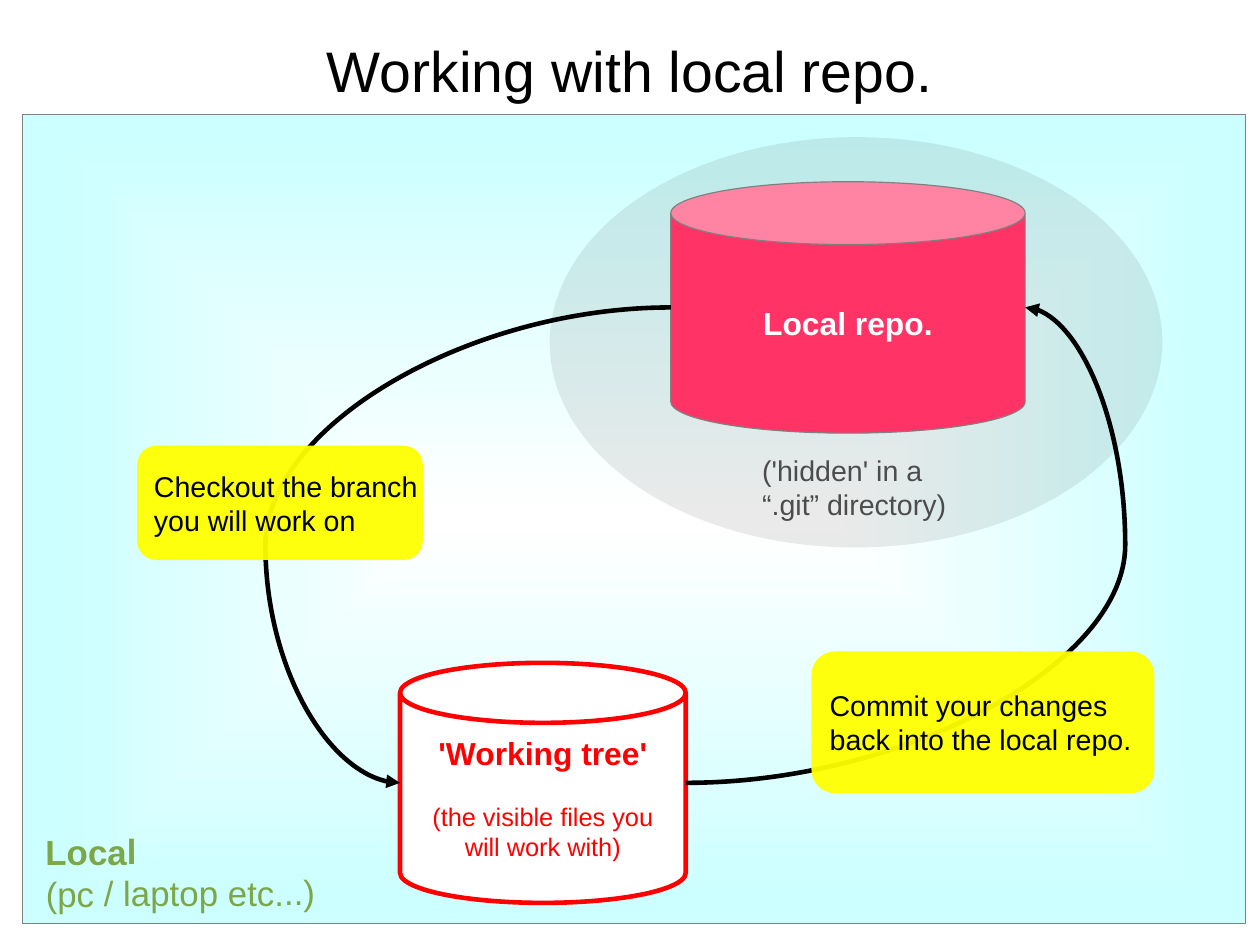
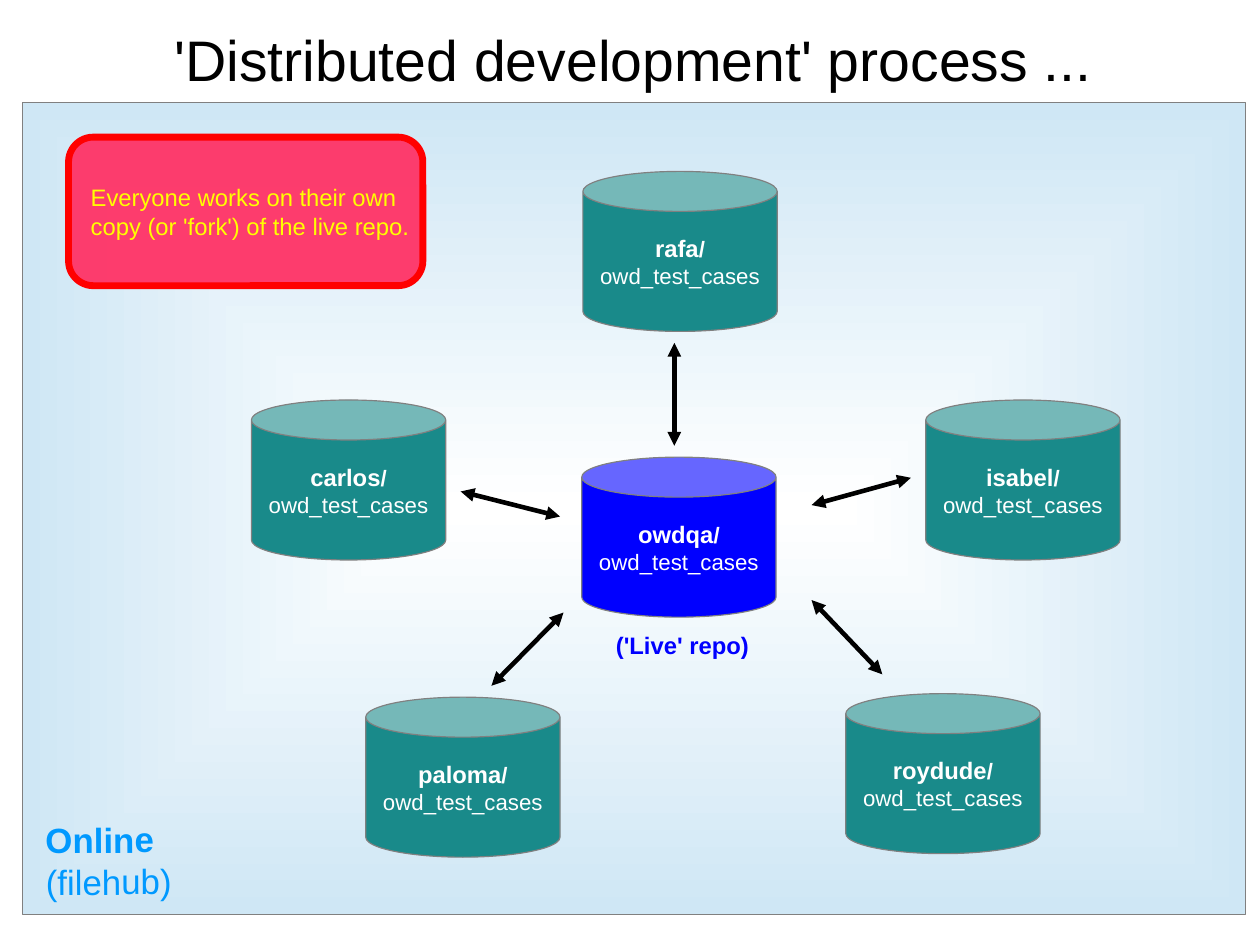
from lxml.etree import SubElement
from pptx import Presentation
from pptx.dml.color import RGBColor
from pptx.enum.shapes import MSO_CONNECTOR, MSO_SHAPE
from pptx.enum.text import MSO_ANCHOR, MSO_AUTO_SIZE, PP_ALIGN
from pptx.oxml.ns import qn
from pptx.util import Pt

WHITE = RGBColor(0xFF, 0xFF, 0xFF)
BLACK = RGBColor(0, 0, 0)
GREY = RGBColor(0x80, 0x80, 0x80)
DARK = RGBColor(0x33, 0x33, 0x33)
SOFT = RGBColor(0x4C, 0x4C, 0x4C)
CYAN = RGBColor(0xCC, 0xFF, 0xFF)
PALE = RGBColor(0xCF, 0xE7, 0xF5)
GREEN = RGBColor(0x7D, 0xA6, 0x47)
SKY = RGBColor(0, 0x99, 0xFF)
PINK = RGBColor(0xFF, 0x33, 0x66)
RED = RGBColor(0xFF, 0, 0)
YELLOW = RGBColor(0xFF, 0xFF, 0)
TEAL = RGBColor(0x19, 0x8A, 0x8A)
BLUE = RGBColor(0, 0, 0xFF)

FONT = "Arial"
STROKE = 2.89
INSET = (7.2, 3.6)
CAN_W, CAN_H = 122.4, 100.8
LEFT, CENTER = PP_ALIGN.LEFT, PP_ALIGN.CENTER


def shift(box, x, y, *size):
    """Turn a place inside box into a place on the slide."""
    return (box[0] + x, box[1] + y, *size)


def write(shape, lines, color, align=LEFT, inset=INSET, wrap=False, gaps=None):
    """Fill shape with lines; a line is a list of (text, size, bold) runs."""
    frame = shape.text_frame
    frame.word_wrap = wrap
    frame.margin_left = frame.margin_right = Pt(inset[0])
    frame.margin_top = frame.margin_bottom = Pt(inset[1])
    for i, line in enumerate(lines):
        para = frame.paragraphs[0] if i == 0 else frame.add_paragraph()
        para.alignment = align
        if gaps and i in gaps:
            para.space_before = Pt(gaps[i])
        for text, size, bold in line:
            run = para.add_run()
            run.text = text
            run.font.name = FONT
            run.font.size = Pt(size)
            run.font.bold = bold
            run.font.color.rgb = color
    return frame


def plain(size, *texts):
    return [[(text, size, False)] for text in texts]


def draw(slide, kind, box, fill, line=None, width=0, alpha=None):
    shape = slide.shapes.add_shape(kind, *map(Pt, box))
    shape.shadow.inherit = False
    shape.fill.solid()
    shape.fill.fore_color.rgb = fill
    if alpha is not None:
        tint = shape.fill._xPr.find(".//" + qn("a:srgbClr"))
        SubElement(tint, qn("a:alpha"), val=str(alpha * 1000))
    if line is None:
        shape.line.fill.background()
    else:
        shape.line.color.rgb = line
        shape.line.width = Pt(width)
    shape.text_frame.vertical_anchor = MSO_ANCHOR.MIDDLE
    return shape


def label(slide, box, lines, color):
    shape = slide.shapes.add_textbox(*map(Pt, box))
    write(shape, lines, color).auto_size = MSO_AUTO_SIZE.SHAPE_TO_FIT_TEXT
    return shape


def link(slide, start, end, bend=None, both=False):
    """Draw an arrow; bend is the turning point of a curve, in percent."""
    kind = MSO_CONNECTOR.STRAIGHT if bend is None else MSO_CONNECTOR.CURVE
    line = slide.shapes.add_connector(kind, *map(Pt, (*start, *end)))
    line.line.color.rgb = BLACK
    line.line.width = Pt(STROKE)
    props = line._element.spPr
    stroke = props.find(qn("a:ln"))
    for tag in ("a:headEnd", "a:tailEnd") if both else ("a:tailEnd",):
        SubElement(stroke, qn(tag), type="triangle")
    SubElement(props, qn("a:effectLst"))
    if bend is not None:
        guides = props.find(qn("a:prstGeom")).get_or_add_avLst()
        SubElement(guides, qn("a:gd"), name="adj1",
                   fmla=f"val {round(bend * 1000)}")


def title(slide, box, text):
    shape = slide.shapes.add_textbox(*map(Pt, box))
    frame = write(shape, plain(36, text), BLACK, CENTER, (0, 0), True)
    frame.vertical_anchor = MSO_ANCHOR.MIDDLE


def panel(slide, box, edge, stop, name, note, width, color):
    """Draw the backdrop, white in its middle, and its corner label."""
    shape = draw(slide, MSO_SHAPE.RECTANGLE, box, WHITE, GREY)
    shape.fill.gradient()
    stops = shape.fill.gradient_stops
    for mark, tone, place in zip(stops, (WHITE, edge), (0, stop)):
        mark.color.rgb = tone
        mark.position = place
    grad = shape._element.spPr.find(qn("a:gradFill"))
    grad.remove(grad.find(qn("a:lin")))
    burst = SubElement(grad, qn("a:path"), path="rect")
    SubElement(burst, qn("a:fillToRect"),
               {side: "50000" for side in "ltrb"})
    corner = label(slide, shift(box, 7.2, 447, width, 56.2),
                   [[(name, 22, True)], [(note, 22, False)]], color)
    corner.rotation = -0.4


def sticker(slide, box, *texts):
    shape = draw(slide, MSO_SHAPE.ROUNDED_RECTANGLE, box, YELLOW, alpha=95)
    write(shape, plain(18, *texts), BLACK)


def side(box, right=False):
    """Give the middle of the left or right side of box."""
    return box[0] + (box[2] if right else 0), box[1] + box[3] / 2


def local(slide, box):
    title(slide, (39.6, box[1] - 64.8, 714.2, 73.4),
          "Working with local repo.")
    panel(slide, box, CYAN, 0.95, "Local", "(pc / laptop etc...)",
          184.3, GREEN)
    draw(slide, MSO_SHAPE.OVAL, shift(box, 331.9, 14.4, 385.9, 258.5),
         DARK, alpha=10).rotation = -0.2

    repo = shift(box, 408.2, 42.5, 223.2, 158.4)
    shape = draw(slide, MSO_SHAPE.CAN, repo, PINK, GREY)
    write(shape, [[("Local repo.", 20, True)]], WHITE, CENTER)

    tree = shift(box, 237.6, 345.6, 180, 151.2)
    shape = draw(slide, MSO_SHAPE.CAN, tree, WHITE, RED, STROKE)
    words = [[("'Working tree'", 20, True)],
             *plain(16, "(the visible files you", "will work with)")]
    write(shape, words, RED, CENTER, (8.6, 5), gaps={1: 18.4})

    link(slide, side(repo), side(tree), 149.7)
    link(slide, side(tree, True), side(repo, True), 129.5)
    label(slide, shift(box, 458.6, 209.5, 130.3, 63.4),
          plain(18, "('hidden' in a", "“.git” directory)"), SOFT)
    sticker(slide, shift(box, 72, 208.8, 180, 72),
            "Checkout the branch", "you will work on")
    sticker(slide, shift(box, 496.8, 338.4, 216, 89.3),
            "Commit your changes", "back into the local repo.")


def online(slide, box):
    title(slide, (41.8, box[1] - 64.8, 714.2, 73.4),
          "'Distributed development' process ...")
    panel(slide, box, PALE, 1, "Online", "(filehub)", 93.5, SKY)

    forks = [
        ("paloma", 216, 374.4, TEAL),
        ("owdqa", 352.1, 223.2, BLUE),
        ("isabel", 568.8, 187.2, TEAL),
        ("rafa", 352.8, 43.2, TEAL),
        ("carlos", 144, 187.2, TEAL),
        ("roydude", 518.4, 372.2, TEAL),
    ]
    for owner, x, y, color in forks:
        shape = draw(slide, MSO_SHAPE.CAN, shift(box, x, y, CAN_W, CAN_H),
                     color, GREY)
        words = [[(owner, 15, True), ("/", 14, True)],
                 [("owd_test_cases", 14, False)]]
        write(shape, words, WHITE, CENTER)
    label(slide, shift(box, 366.5, 329, 98.6, 23.8),
          [[("('Live' repo)", 15, True)]], BLUE)

    note = draw(slide, MSO_SHAPE.ROUNDED_RECTANGLE,
                shift(box, 28.8, 21.6, 223.2, 93.6), PINK, RED, 4.31, 95)
    write(note, plain(15, "Everyone works on their own",
                      "copy (or 'fork') of the live repo."),
          YELLOW, inset=(9.4, 5.8))

    arrows = [
        ((410.4, 151.2), (410.4, 216)),
        ((496.8, 313.2), (541.4, 360)),
        ((340.6, 321.1), (295.2, 367.2)),
        ((338.4, 260.6), (275.8, 244.8)),
        ((559.4, 236.2), (496.8, 253.4)),
    ]
    for start, end in arrows:
        link(slide, shift(box, *start), shift(box, *end), both=True)


def main():
    deck = Presentation()
    deck.slide_width, deck.slide_height = Pt(793.7), Pt(595.3)
    blank = deck.slide_layouts[6]
    local(deck.slides.add_slide(blank), (14.4, 72, 770.4, 509.8))
    online(deck.slides.add_slide(blank), (14.4, 64.8, 770.4, 511.2))
    deck.save("out.pptx")


if __name__ == "__main__":
    main()
